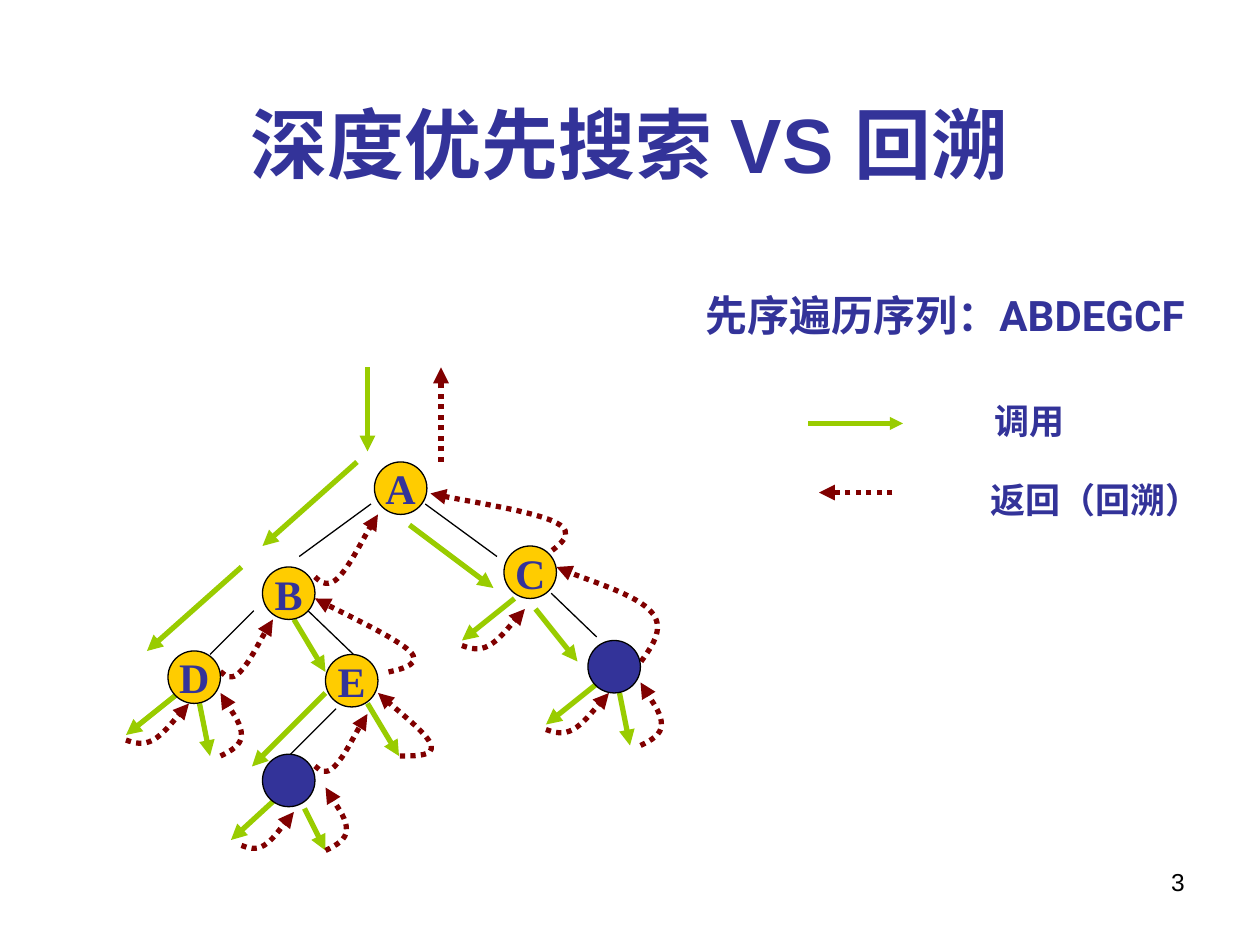
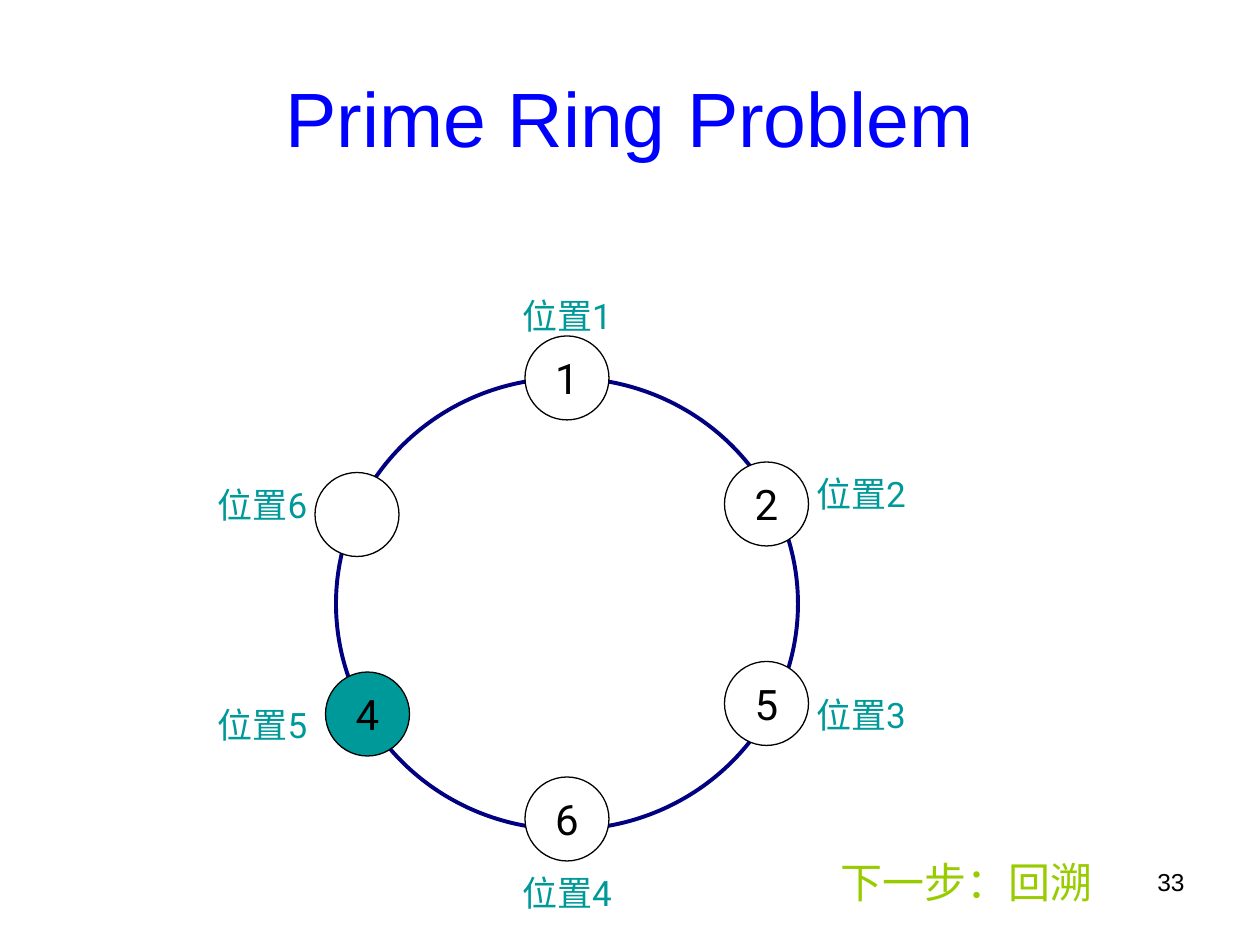
from pptx import Presentation
from pptx.dml.color import RGBColor
from pptx.enum.dml import MSO_LINE
from pptx.enum.shapes import MSO_CONNECTOR, MSO_SHAPE
from pptx.enum.text import MSO_ANCHOR, PP_ALIGN
from pptx.oxml.ns import qn
from pptx.util import Pt
from lxml import etree

BLACK = RGBColor(0, 0, 0)
WHITE = RGBColor(255, 255, 255)
INDIGO = RGBColor(0x33, 0x33, 0x99)
BLUE = RGBColor(0, 0, 255)
NAVY = RGBColor(0, 0, 0x80)
GOLD = RGBColor(0xFF, 0xCC, 0)
LIME = RGBColor(0x99, 0xCC, 0)
MAROON = RGBColor(0x80, 0, 0)
TEAL = RGBColor(0, 0x99, 0x99)

LEFT, MID, RIGHT = PP_ALIGN.LEFT, PP_ALIGN.CENTER, PP_ALIGN.RIGHT
CENTER, BOTTOM = MSO_ANCHOR.MIDDLE, MSO_ANCHOR.BOTTOM
OVAL = MSO_SHAPE.OVAL
LINE = MSO_CONNECTOR.STRAIGHT
DOTS = MSO_LINE.ROUND_DOT

HOOK = [(0, .87), (.13, .94), (.27, 1), (.43, .87), (.6, .72), (.9, .15), (1, 0)]
LOOP = [(0, 1), (.5, .92), (1, .83), (1, .67), (1, .5), (.2, .12), (0, 0)]
RISE = [(0, .85), (.1, .93), (.22, 1), (.38, .85), (.55, .7), (.88, .14), (1, 0)]
BEND = [(.69, 1), (.85, .95), (1, .88), (.89, .72), (.77, .55), (.15, .12), (0, 0)]
SWEEP = [(.78, 1), (.9, .81), (1, .63), (.87, .47), (.74, .3), (.14, .08), (0, 0)]
CURL = [(.39, 1), (.7, 1), (1, 1), (.95, .83), (.89, .66), (.16, .14), (0, 0)]

EDGES = [
    (140, 78, 99, 108), (171, 78, 212, 108), (104, 139, 130, 164),
    (120, 195, 94, 221), (73, 139, 48, 164), (243, 129, 269, 154),
]
CALLS = [
    (138, 0, 138, 48), (132, 54, 78, 102), (66, 114, 12, 162),
    (30, 186, 0, 210), (42, 192, 48, 222), (96, 144, 114, 174),
    (114, 186, 72, 228), (84, 248, 60, 270), (102, 252, 114, 276),
    (162, 90, 210, 126), (222, 132, 192, 156), (234, 138, 258, 168),
    (138, 192, 156, 222), (270, 180, 240, 204), (282, 186, 288, 216),
]
BACKS = [
    (HOOK, 0, 192, 36, 24), (HOOK, 192, 138, 36, 24),
    (HOOK, 240, 186, 36, 24), (HOOK, 66, 254, 30, 22),
    (LOOP, 54, 186, 12, 36), (LOOP, 114, 240, 12, 36),
    (LOOP, 294, 180, 12, 36), (RISE, 54, 144, 30, 35),
    (RISE, 108, 198, 30, 35), (RISE, 108, 84, 36, 42),
    (BEND, 108, 132, 61, 42), (SWEEP, 246, 114, 62, 54),
    (SWEEP, 174, 72, 83, 36), (CURL, 144, 186, 32, 36),
]
NODES = [
    ("A", 142, 54, GOLD), ("B", 78, 114, GOLD), ("D", 24, 162, GOLD),
    ("E", 114, 164, GOLD), ("", 78, 221, INDIGO), ("C", 216, 102, GOLD),
    ("", 264, 156, INDIGO),
]
SPOTS = [
    ("1", 108, -24, 102, -48, WHITE), ("2", 222, 48, 270, 54, WHITE),
    ("5", 222, 162, 270, 180, WHITE), ("6", 108, 228, 102, 282, WHITE),
    ("4", -6, 168, -72, 186, TEAL), ("", -12, 54, -72, 60, WHITE),
]


def style(frame, text, size, color, font="Roboto", bold=False, align=MID):
    frame.text = text
    para = frame.paragraphs[0]
    para.alignment = align
    for run in para.runs:
        run.font.name = font
        run.font.size = Pt(size)
        run.font.bold = bold
        run.font.color.rgb = color


def label(slide, text, box, size, color, inset=True, **look):
    frame = slide.shapes.add_textbox(*map(Pt, box)).text_frame
    frame.word_wrap = True
    if not inset:
        frame.margin_left = frame.margin_right = 0
        frame.margin_top = frame.margin_bottom = 0
    style(frame, text, size, color, **look)


def disc(slide, box, fill, edge=BLACK, width=.75):
    shape = slide.shapes.add_shape(OVAL, *map(Pt, box))
    shape.shadow.inherit = False
    shape.fill.solid()
    shape.fill.fore_color.rgb = fill
    shape.line.color.rgb = edge
    shape.line.width = Pt(width)
    return shape


def node(slide, text, box, fill, color, **look):
    shape = disc(slide, box, fill)
    if text:
        frame = shape.text_frame
        frame.word_wrap = False
        frame.vertical_anchor = CENTER
        style(frame, text, 24, color, **look)


def ink(shape, color, width, dash=None, head=True):
    shape.line.color.rgb = color
    shape.line.width = Pt(width)
    if dash:
        shape.line.dash_style = dash
    if head:
        stroke = shape._element.spPr.find(qn("a:ln"))
        etree.SubElement(stroke, qn("a:tailEnd"), type="triangle")


def link(slide, x, y, ends, color, width=3, **look):
    x1, y1, x2, y2 = ends
    wire = slide.shapes.add_connector(
        LINE, Pt(x + x1), Pt(y + y1), Pt(x + x2), Pt(y + y2))
    ink(wire, color, width, **look)
    etree.SubElement(wire._element.spPr, qn("a:effectLst"))


def curve(slide, form, x, y, w, h):
    pts = [(Pt(x + a * w), Pt(y + b * h)) for a, b in form]
    maker = slide.shapes.build_freeform(*pts[0])
    maker.add_line_segments(pts[1:], close=False)
    shape = maker.convert_to_shape()
    steps = list(shape._element.iter(qn("a:lnTo")))
    for i in range(0, len(steps), 3):
        bend = etree.Element(qn("a:cubicBezTo"))
        steps[i].addprevious(bend)
        for step in steps[i:i + 3]:
            bend.append(step[0])
            step.getparent().remove(step)
    shape.shadow.inherit = False
    shape.fill.background()
    ink(shape, MAROON, 3, DOTS)


def page(deck, title, number, color, anchor, bold=False):
    slide = deck.slides.add_slide(deck.slide_layouts[5])
    head = slide.shapes.title
    head.left, head.top, head.width, head.height = map(Pt, (36, 21.6, 648, 90))
    head.text_frame.vertical_anchor = anchor
    style(head.text_frame, title, 44, color, "Arial", bold)
    label(slide, number, (516, 492, 168, 37.5), 14, BLACK,
          font="Arial", align=RIGHT)
    return slide


def tree(slide, x, y):
    for ends in EDGES:
        link(slide, x, y, ends, BLACK, .75, head=False)
    for ends in CALLS:
        link(slide, x, y, ends, LIME)
    for form, dx, dy, w, h in BACKS:
        curve(slide, form, x + dx, y + dy, w, h)
    link(slide, x, y, (180, 54, 180, 0), MAROON, dash=DOTS)
    for text, dx, dy, fill in NODES:
        node(slide, text, (x + dx, y + dy, 30, 30), fill, INDIGO,
             font="Times New Roman", bold=True)


def legend(slide, x, y):
    label(slide, "先序遍历序列：ABDEGCF", (x, y, 306, 36), 24, INDIGO,
          bold=True, align=LEFT)
    link(slide, x, y, (66, 80, 120, 80), LIME, 2.5)
    link(slide, x, y, (114, 119.5, 72, 119.5), MAROON, dash=DOTS)
    label(slide, "调用", (x + 162.5, y + 62.5, 60, 31.5), 20, INDIGO, bold=True)
    label(slide, "返回（回溯）", (x + 150, y + 108, 160, 31.5), 20, INDIGO,
          bold=True)


def ring(slide, x, y, w, h):
    disc(slide, (x, y, w, h), WHITE, NAVY, 2.25)
    for i, (text, dx, dy, lx, ly, fill) in enumerate(SPOTS, 1):
        node(slide, text, (x + dx, y + dy, 48, 48), fill, BLACK)
        label(slide, f"位置{i}", (x + lx, y + ly, 60, 24), 20, TEAL, inset=False)


def main():
    deck = Presentation()
    deck.slide_width, deck.slide_height = Pt(720), Pt(540)
    first = page(deck, "深度优先搜索 VS 回溯", "3", INDIGO, BOTTOM, True)
    tree(first, 72, 210)
    legend(first, 396, 162)
    second = page(deck, "Prime Ring Problem", "33", BLUE, CENTER)
    ring(second, 192, 216, 264, 258)
    label(second, "下一步：回溯", (450, 486, 204, 36), 24, LIME)
    deck.save("out.pptx")


if __name__ == "__main__":
    main()
